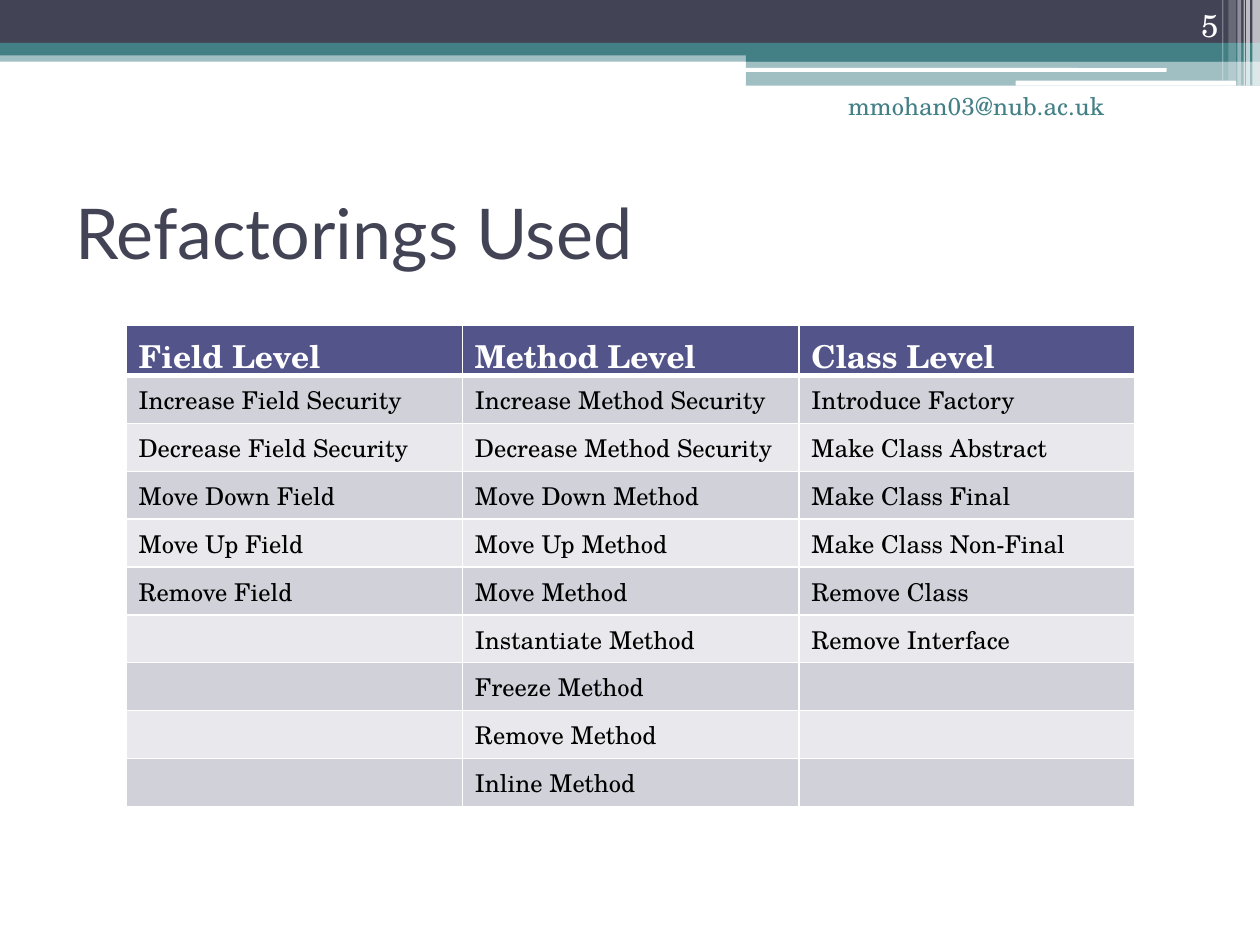
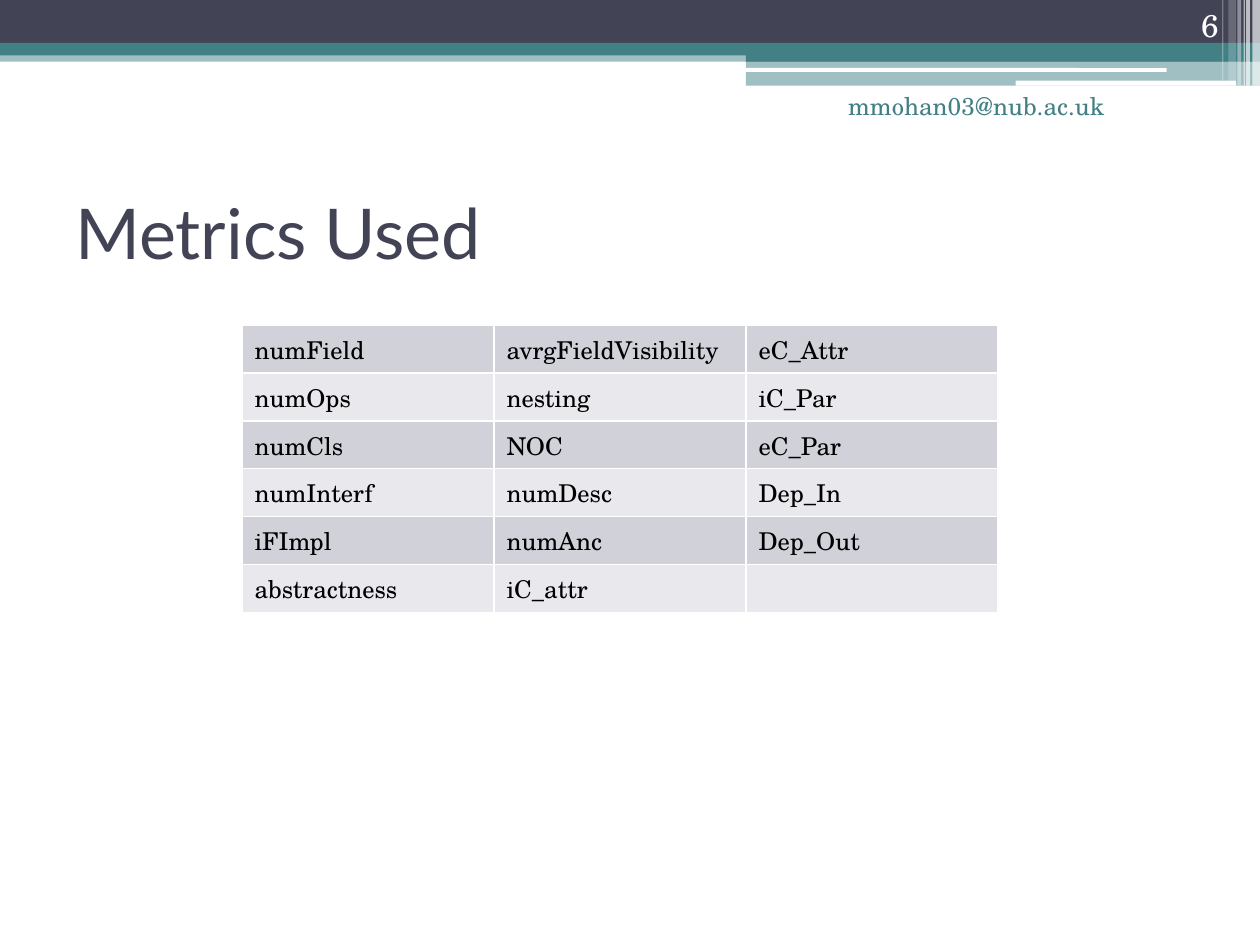
import pptx
import pptx.dml.color
import pptx.enum.shapes
import pptx.enum.text
import pptx.oxml
import pptx.oxml.ns
import pptx.util
from lxml import etree

Inches = pptx.util.Inches
Pt = pptx.util.Pt
RGBColor = pptx.dml.color.RGBColor
MSO_SHAPE = pptx.enum.shapes.MSO_SHAPE
PP_ALIGN = pptx.enum.text.PP_ALIGN
MSO_ANCHOR = pptx.enum.text.MSO_ANCHOR
qn = pptx.oxml.ns.qn

NAVY = RGBColor(0x42, 0x44, 0x56)
TEAL = RGBColor(0x43, 0x80, 0x86)
WHITE = RGBColor(0xFF, 0xFF, 0xFF)
BLACK = RGBColor(0, 0, 0)
HEADER_FILL = RGBColor(0x53, 0x54, 0x8A)
BAND_FILLS = [RGBColor(0xD1, 0xD1, 0xDA), RGBColor(0xE9, 0xE9, 0xED)]

TITLE_FONT = "Lato"
BODY_FONT = "TeX Gyre Schola"
EMAIL = "mmohan03@nub.ac.uk"
FIRST_NUMBER = 5
TABLE_TOP = 2.58
ROW_HEIGHT = 0.38

RECTANGLE = MSO_SHAPE.RECTANGLE
ROUNDED = MSO_SHAPE.ROUNDED_RECTANGLE
# shape kind, left, top, width, height, colour, opacity in percent
BANDS = [
    (RECTANGLE, 0, 0.4, 10, 0.09, TEAL, 50),
    (RECTANGLE, 0, 0, 10, 0.34, NAVY, 100),
    (RECTANGLE, 0, 0.34, 10, 0.1, TEAL, 100),
    (RECTANGLE, 5.92, 0.39, 4.08, 0.1, TEAL, 100),
    (RECTANGLE, 5.92, 0.48, 4.08, 0.2, TEAL, 50),
    (ROUNDED, 5.91, 0.54, 3.35, 0.03, WHITE, 100),
    (ROUNDED, 8.06, 0.64, 1.75, 0.04, WHITE, 100),
    (RECTANGLE, 9.94, 0, 0.06, 0.68, WHITE, 65),
    (RECTANGLE, 9.89, 0, 0.03, 0.68, WHITE, 65),
    (RECTANGLE, 9.87, 0, 0.01, 0.68, WHITE, 60),
    (RECTANGLE, 9.82, 0, 0.03, 0.68, WHITE, 40),
    (RECTANGLE, 9.75, 0, 0.06, 0.64, WHITE, 20),
    (RECTANGLE, 9.7, 0, 0.01, 0.64, WHITE, 30),
]

# title, table left, column width, has a header row, rows
SLIDES = [
    ("Refactorings Used", 1, 2.67, True, [
        ("Field Level", "Method Level", "Class Level"),
        ("Increase Field Security", "Increase Method Security", "Introduce Factory"),
        ("Decrease Field Security", "Decrease Method Security", "Make Class Abstract"),
        ("Move Down Field", "Move Down Method", "Make Class Final"),
        ("Move Up Field", "Move Up Method", "Make Class Non-Final"),
        ("Remove Field", "Move Method", "Remove Class"),
        ("", "Instantiate Method", "Remove Interface"),
        ("", "Freeze Method", ""),
        ("", "Remove Method", ""),
        ("", "Inline Method", ""),
    ]),
    ("Metrics Used", 1.92, 2, False, [
        ("numField", "avrgFieldVisibility", "eC_Attr"),
        ("numOps", "nesting", "iC_Par"),
        ("numCls", "NOC", "eC_Par"),
        ("numInterf", "numDesc", "Dep_In"),
        ("iFImpl", "numAnc", "Dep_Out"),
        ("abstractness", "iC_attr", ""),
    ]),
]


def write_text(frame, text, size=14, font=BODY_FONT, color=BLACK, bold=False,
               align=PP_ALIGN.LEFT, anchor=MSO_ANCHOR.TOP):
    frame.word_wrap = True
    frame.vertical_anchor = anchor
    paragraph = frame.paragraphs[0]
    paragraph.alignment = align
    if not text:
        # An empty cell still takes its line height from this size and font.
        end = etree.SubElement(paragraph._p, qn("a:endParaRPr"), sz=str(size * 100))
        etree.SubElement(end, qn("a:latin"), typeface=font)
        return
    run = paragraph.add_run()
    run.text = text
    run.font.size = Pt(size)
    run.font.name = font
    run.font.color.rgb = color
    run.font.bold = bold


def style_cell(cell, fill, bottom_width):
    """Give the cell white borders and a solid fill."""
    properties = cell._tc.get_or_add_tcPr()
    for side in ("lnL", "lnR", "lnT", "lnB"):
        width = Pt(bottom_width if side == "lnB" else 1)
        line = etree.SubElement(properties, qn(f"a:{side}"), w=str(width))
        solid = etree.SubElement(line, qn("a:solidFill"))
        etree.SubElement(solid, qn("a:srgbClr"), val=str(WHITE))
    cell.fill.solid()
    cell.fill.fore_color.rgb = fill


presentation = pptx.Presentation()
presentation.slide_width = Inches(10)
presentation.slide_height = Inches(7.5)
blank_layout = presentation.slide_layouts[6]

for number, (title, table_left, column_width, has_header, rows) in enumerate(SLIDES, FIRST_NUMBER):
    slide = presentation.slides.add_slide(blank_layout)

    for kind, left, top, width, height, color, opacity in BANDS:
        shape = slide.shapes.add_shape(kind, Inches(left), Inches(top), Inches(width), Inches(height))
        shape.shadow.inherit = False
        shape.line.fill.background()
        shape.fill.solid()
        shape.fill.fore_color.rgb = color
        if opacity < 100:
            color_element = shape._element.spPr.find(".//" + qn("a:srgbClr"))
            etree.SubElement(color_element, qn("a:alpha"), val=str(opacity * 1000))

    title_box = slide.shapes.add_textbox(Inches(0.5), Inches(1.25), Inches(9), Inches(1.17))
    write_text(title_box.text_frame, title, size=40, font=TITLE_FONT, color=NAVY,
               anchor=MSO_ANCHOR.MIDDLE)
    number_box = slide.shapes.add_textbox(Inches(8.94), Inches(0), Inches(0.83), Inches(0.4))
    write_text(number_box.text_frame, str(number), size=18, color=WHITE,
               align=PP_ALIGN.RIGHT, anchor=MSO_ANCHOR.BOTTOM)
    email_box = slide.shapes.add_textbox(Inches(5.75), Inches(0.67), Inches(4), Inches(0.5))
    write_text(email_box.text_frame, EMAIL, color=TEAL, align=PP_ALIGN.CENTER)

    column_count = len(rows[0])
    table = slide.shapes.add_table(
        len(rows), column_count, Inches(table_left), Inches(TABLE_TOP),
        Inches(column_width * column_count), Inches(ROW_HEIGHT * len(rows))).table
    table.first_row = has_header
    for row_index, row in enumerate(rows):
        is_header = has_header and row_index == 0
        fill = HEADER_FILL if is_header else BAND_FILLS[(row_index - has_header) % 2]
        for column_index, text in enumerate(row):
            cell = table.cell(row_index, column_index)
            style_cell(cell, fill, bottom_width=3 if is_header else 1)
            write_text(cell.text_frame, text, size=18 if is_header else 14,
                       color=WHITE if is_header else BLACK, bold=is_header)

presentation.save("out.pptx")
